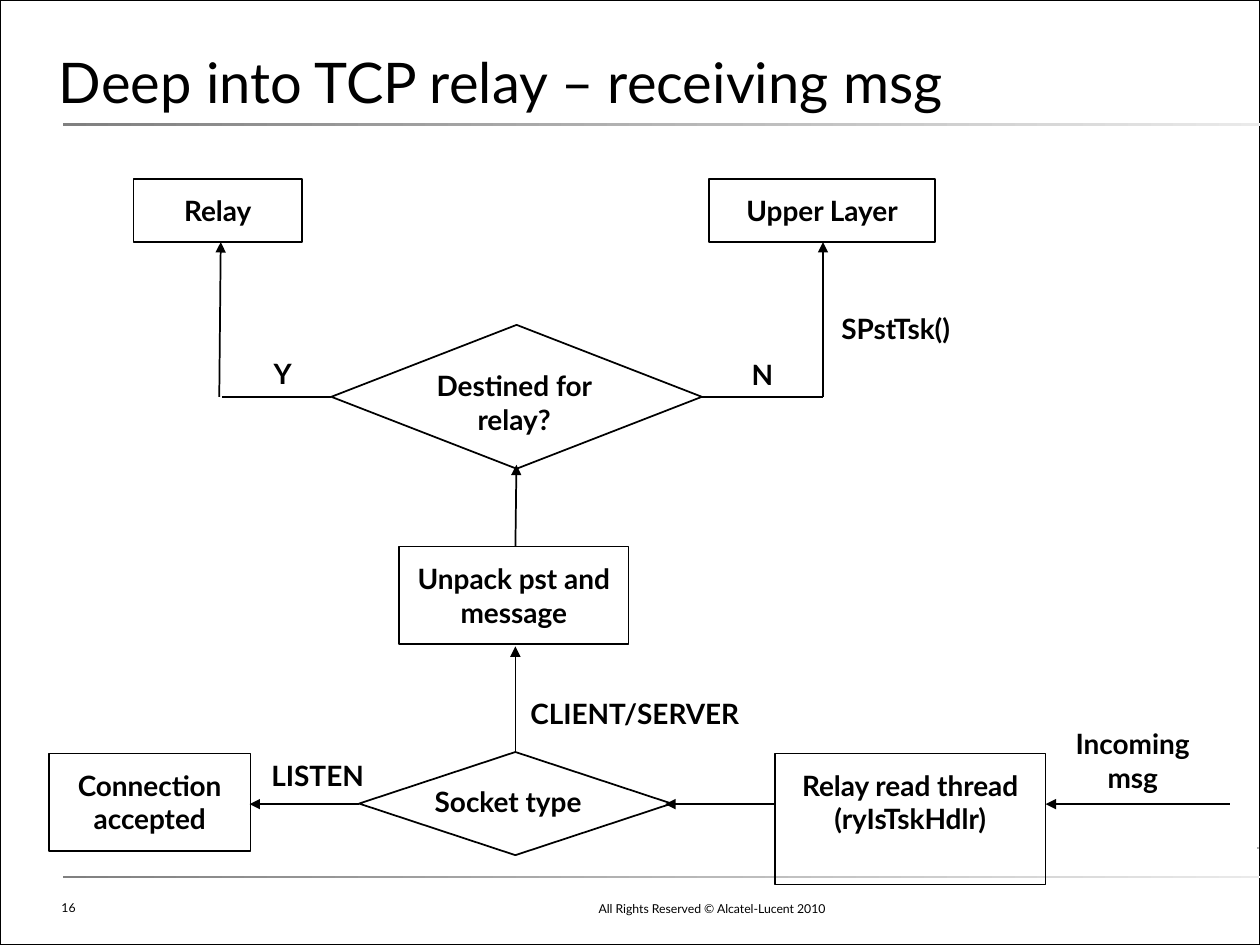
import dataclasses

import lxml.etree
import pptx
import pptx.dml.color
import pptx.enum.shapes
import pptx.enum.text
import pptx.oxml.ns
import pptx.util

Cm = pptx.util.Cm
Shape = pptx.enum.shapes.MSO_SHAPE
Align = pptx.enum.text.PP_ALIGN
Anchor = pptx.enum.text.MSO_ANCHOR

COLORS = {"ink": "000000", "rule_dark": "808080", "rule_light": "EAEAEA", "mark_light": "D5D5D5"}
FONT = "Lato"
LINE_WIDTH = pptx.util.Pt(1)


@dataclasses.dataclass
class Box:
    left: float
    top: float
    width: float
    height: float = 1.27
    text: str = ""

    def lengths(self):
        return Cm(self.left), Cm(self.top), Cm(self.width), Cm(self.height)


@dataclasses.dataclass
class Flow:
    x1: float
    y1: float
    x2: float
    y2: float
    arrow: bool = True


FRAME = Box(0, 0, 25.4, 19.05)
TITLE = Box(1.19, 0.2, 23.01, 2.11, "Deep into TCP relay – receiving msg")
COPYRIGHT = Box(8.89, 17.96, 8, 0.64, "All Rights Reserved © Alcatel-Lucent 2010")
PAGE_NUMBER = Box(0.99, 18.01, 10.77, 0.58, "16")
EDGE_MARK = Box(25.35, 17.07, 0.03, 0.05)
RULES = [Box(1.27, top, 24.21, 0.06) for top in (17.65, 2.48)]

STEPS = [
    Box(2.69, 3.61, 3.4, text="Relay"),
    Box(14.3, 3.61, 4.55, text="Upper Layer"),
    Box(8.05, 11.02, 4.62, 1.96, "Unpack pst and message"),
    Box(0.99, 15.19, 4.06, 1.96, "Connection accepted"),
    Box(15.62, 15.19, 5.46, 2.64, "Relay read thread (ryIsTskHdlr)"),
]
DECISIONS = [Box(6.68, 6.55, 7.47, 2.9), Box(7.24, 15.16, 6.3, 2.08)]
LABELS = [
    Box(7.9, 7.14, 4.93, 1.96, "Destined for relay?"),
    Box(7.82, 15.52, 4.85, text="Socket type"),
    Box(21.08, 14.35, 3.51, 1.96, "Incoming msg"),
    Box(15.57, 5.99, 4.98, text="SPstTsk()"),
    Box(14.15, 6.91, 2.44, text="N"),
    Box(3.68, 6.88, 4.04, text="Y"),
    Box(10.36, 13.74, 4.88, text="CLIENT/SERVER"),
    Box(4.78, 14.99, 3.25, text="LISTEN"),
]
FLOWS = [
    Flow(24.79, 16.21, 21.08, 16.21),
    Flow(15.6, 16.21, 13.41, 16.21),
    Flow(7.24, 16.21, 5.03, 16.21),
    Flow(10.39, 15.16, 10.39, 13.03),
    Flow(10.39, 11.02, 10.41, 9.37),
    Flow(6.68, 8, 4.47, 8, arrow=False),
    Flow(4.42, 8, 4.45, 4.88),
    Flow(14.15, 8, 16.59, 8, arrow=False),
    Flow(16.59, 8, 16.59, 4.88),
]


def rgb(name: str):
    return pptx.dml.color.RGBColor.from_string(COLORS[name])


def write(frame, text: str, *, size=16, bold=True, align=Align.CENTER,
          anchor=Anchor.TOP, inset=(0.3, 0.3), spacing=1.0) -> None:
    frame.word_wrap = True
    frame.vertical_anchor = anchor
    frame.margin_left = frame.margin_right = Cm(inset[0])
    frame.margin_top = frame.margin_bottom = Cm(inset[1])
    paragraph = frame.paragraphs[0]
    paragraph.alignment = align
    paragraph.line_spacing = spacing
    run = paragraph.add_run()
    run.text = text
    run.font.name = FONT
    run.font.size = pptx.util.Pt(size)
    run.font.bold = bold
    run.font.color.rgb = rgb("ink")


def draw_label(slide, box: Box, **text_format) -> None:
    write(slide.shapes.add_textbox(*box.lengths()).text_frame, box.text, **text_format)


def draw_outline(slide, box: Box, kind=Shape.RECTANGLE) -> None:
    outline = slide.shapes.add_shape(kind, *box.lengths())
    outline.shadow.inherit = False
    outline.fill.background()
    outline.line.color.rgb = rgb("ink")
    outline.line.width = LINE_WIDTH
    if box.text:
        write(outline.text_frame, box.text)


def draw_rule(slide, box: Box, light="rule_light") -> None:
    rule = slide.shapes.add_shape(Shape.RECTANGLE, *box.lengths())
    rule.shadow.inherit = False
    rule.line.fill.background()
    rule.fill.gradient()
    rule.fill.gradient_angle = 0
    for stop, color in zip(rule.fill.gradient_stops, ("rule_dark", light)):
        stop.color.rgb = rgb(color)


def draw_flow(slide, flow: Flow) -> None:
    connector = slide.shapes.add_connector(
        pptx.enum.shapes.MSO_CONNECTOR.STRAIGHT,
        Cm(flow.x1), Cm(flow.y1), Cm(flow.x2), Cm(flow.y2))
    connector.line.color.rgb = rgb("ink")
    connector.line.width = LINE_WIDTH
    qn = pptx.oxml.ns.qn
    properties = connector.element.spPr
    if flow.arrow:
        lxml.etree.SubElement(properties.find(qn("a:ln")), qn("a:tailEnd"), type="triangle")
    lxml.etree.SubElement(properties, qn("a:effectLst"))


def main() -> None:
    deck = pptx.Presentation()
    deck.slide_width, deck.slide_height = Cm(FRAME.width), Cm(FRAME.height)
    slide = deck.slides.add_slide(deck.slide_layouts[6])

    draw_rule(slide, EDGE_MARK, light="mark_light")
    draw_outline(slide, FRAME)
    draw_label(slide, COPYRIGHT, size=7, bold=False, align=Align.RIGHT,
               anchor=Anchor.BOTTOM, inset=(0.25, 0.13))
    for rule in RULES:
        draw_rule(slide, rule)
    draw_label(slide, TITLE, size=32, bold=False, align=Align.LEFT,
               anchor=Anchor.BOTTOM, inset=(0, 0), spacing=1.2)

    for step in STEPS:
        draw_outline(slide, step)
    for decision in DECISIONS:
        draw_outline(slide, decision, Shape.DIAMOND)
    for flow in FLOWS:
        draw_flow(slide, flow)
    for label in LABELS:
        draw_label(slide, label)
    draw_label(slide, PAGE_NUMBER, size=7, bold=False, align=Align.LEFT, inset=(0.25, 0.13))

    deck.save("out.pptx")


if __name__ == "__main__":
    main()
